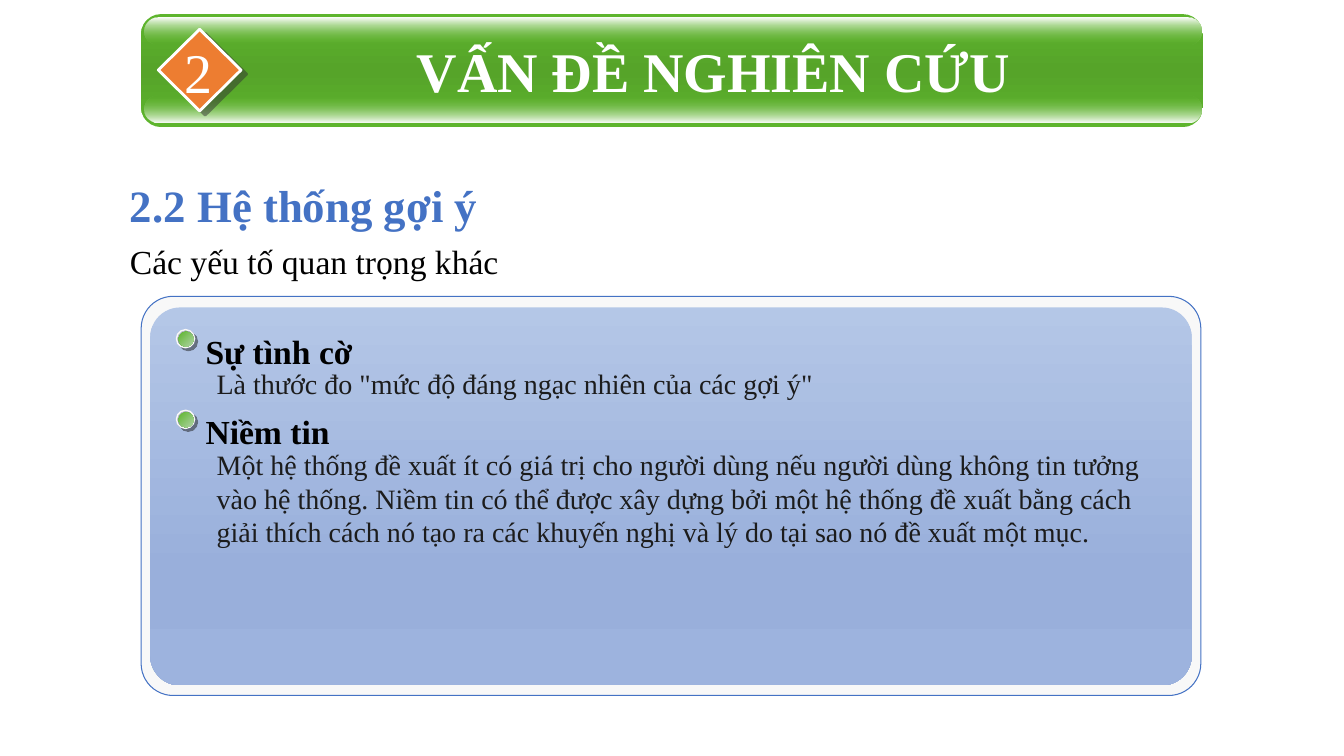
"""Build the slide on recommender systems: header bar, heading and a panel of factors."""
from lxml.etree import SubElement
from pptx import Presentation
from pptx.dml.color import RGBColor
from pptx.enum.shapes import MSO_SHAPE
from pptx.enum.text import MSO_ANCHOR, MSO_AUTO_SIZE, PP_ALIGN
from pptx.oxml.ns import qn
from pptx.util import Inches, Pt

GREEN, WHITE, BLUE, PALE, INK = "5EB52D", "FFFFFF", "4472C4", "F8F8F8", "1C1C1C"
FONT = "Times New Roman"

deck = Presentation()
deck.slide_width, deck.slide_height = Inches(13.33), Inches(7.5)
slide = deck.slides.add_slide(deck.slide_layouts[5])
shapes = slide.shapes


def block(kind, box, stops, angle=90, corner=None, line=None, shadow=None):
    """Add a shape filled with one colour or with (position, colour, opacity) stops."""
    shape = shapes.add_shape(kind, *map(Inches, box))
    if corner is not None:
        shape.adjustments[0] = corner
    if len(stops) == 1:
        shape.fill.solid()
        shape.fill.fore_color.rgb = RGBColor.from_string(stops[0][1])
    else:
        shape.fill.gradient()
        shape.fill.gradient_angle = 360 - angle
        ramp = shape._element.spPr.find(".//" + qn("a:gsLst"))
        ramp.clear()
        for position, colour, opacity in stops:
            stop = SubElement(ramp, qn("a:gs"), pos=str(position * 1000))
            tint = SubElement(stop, qn("a:srgbClr"), val=colour)
            SubElement(tint, qn("a:alpha"), val=str(opacity * 1000))
    if line:
        shape.line.color.rgb = RGBColor.from_string(line[0])
        shape.line.width = Pt(line[1])
    else:
        shape.line.fill.background()
    shape.shadow.inherit = False
    if shadow:
        colour, distance, direction = shadow
        effects = shape._element.spPr.find(qn("a:effectLst"))
        cast = SubElement(effects, qn("a:outerShdw"), dist=str(Pt(distance)),
                          dir=str(direction * 60000), algn="ctr", rotWithShape="0")
        tint = SubElement(cast, qn("a:srgbClr"), val=colour)
        SubElement(tint, qn("a:alpha"), val="50000")


def write(box, lines, holder=None, wrap=True, **layout):
    """Put (text, size, colour, bold) lines into a new text box or a given holder."""
    holder = holder or shapes.add_textbox(0, 0, 0, 0)
    for side, length in zip(("left", "top", "width", "height"), box):
        setattr(holder, side, Inches(length))
    frame = holder.text_frame
    frame.word_wrap, frame.auto_size = wrap, MSO_AUTO_SIZE.NONE
    frame.vertical_anchor = MSO_ANCHOR.TOP
    for index, (text, size, colour, bold) in enumerate(lines):
        paragraph = frame.add_paragraph() if index else frame.paragraphs[0]
        for name, value in layout.items():
            setattr(paragraph, name, value)
        run = paragraph.add_run()
        run.text = text
        for name, value in {"name": FONT, "size": Pt(size), "bold": bold}.items():
            setattr(run.font, name, value)
        run.font.color.rgb = RGBColor.from_string(colour)


block(MSO_SHAPE.ROUNDED_RECTANGLE, (1.4, 0.14, 10.53, 1.12),
      [(0, GREEN, 100), (50, "56A429", 100), (100, GREEN, 100)], corner=0.175)
for gloss_top, top_opacity, bottom_opacity in ((0.95, 0, 100), (0.17, 100, 0)):
    ends = [(0, GREEN if top_opacity == 0 else WHITE, top_opacity),
            (100, GREEN if bottom_opacity == 0 else WHITE, bottom_opacity)]
    block(MSO_SHAPE.ROUNDED_RECTANGLE, (1.43, gloss_top, 10.49, 0.27), ends, corner=0.5)

title = shapes.title
shapes._spTree.append(title._element)
write((2.19, 0.31, 9.77, 0.77), [("VẤN ĐỀ NGHIÊN CỨU", 40, WHITE, True)], title,
      alignment=PP_ALIGN.CENTER)
block(MSO_SHAPE.DIAMOND, (1.57, 0.29, 0.82, 0.81), [(0, "ED7D31", 100)],
      line=(WHITE, 2), shadow=("333333", 5, 37))
write((1.75, 0.32, 0.43, 0.75), [("2", 40, WHITE, False)], wrap=False,
      alignment=PP_ALIGN.CENTER)

write((1.19, 1.77, 10.95, 1.17),
      [("2.2 Hệ thống gợi ý", 32, BLUE, True),
       ("Các yếu tố quan trọng khác", 24, "000000", False)],
      line_spacing=0.9, space_before=Pt(10))

block(MSO_SHAPE.ROUNDED_RECTANGLE, (1.4, 2.94, 10.51, 3.96), [(0, PALE, 100)],
      corner=0.08, line=(BLUE, 0.75))
block(MSO_SHAPE.ROUNDED_RECTANGLE, (1.49, 3.05, 10.33, 3.75),
      [(0, "B4C7E7", 100), (70, "99AFDB", 100), (100, "9DB3DE", 100)], corner=0.079)

factors = [
    ("Sự tình cờ", 1.67, 'Là thước đo "mức độ đáng ngạc nhiên của các gợi ý"', 0.44),
    ("Niềm tin", 1.44,
     "Một hệ thống đề xuất ít có giá trị cho người dùng nếu người dùng không tin tưởng "
     "vào hệ thống. Niềm tin có thể được xây dựng bởi một hệ thống đề xuất bằng cách "
     "giải thích cách nó tạo ra các khuyến nghị và lý do tại sao nó đề xuất một mục.", 1.11),
]
for row, (factor, factor_width, meaning, meaning_height) in enumerate(factors):
    top = 3.23 + 0.8 * row
    write((1.94, top, factor_width, 0.5), [(factor, 24, "000000", True)], wrap=False)
    write((2.05, top + 0.36, 9.45, meaning_height), [(meaning, 20, INK, False)])
    block(MSO_SHAPE.OVAL, (1.75, top + 0.04, 0.18, 0.18),
          [(0, "DDDDE1", 100), (100, "223864", 100)], 45,
          line=(PALE, 1), shadow=(INK, 2.8, 45))
    block(MSO_SHAPE.OVAL, (1.77, top + 0.06, 0.15, 0.15),
          [(0, GREEN, 100), (100, "B0D4A7", 100)], 45)

deck.save("out.pptx")
